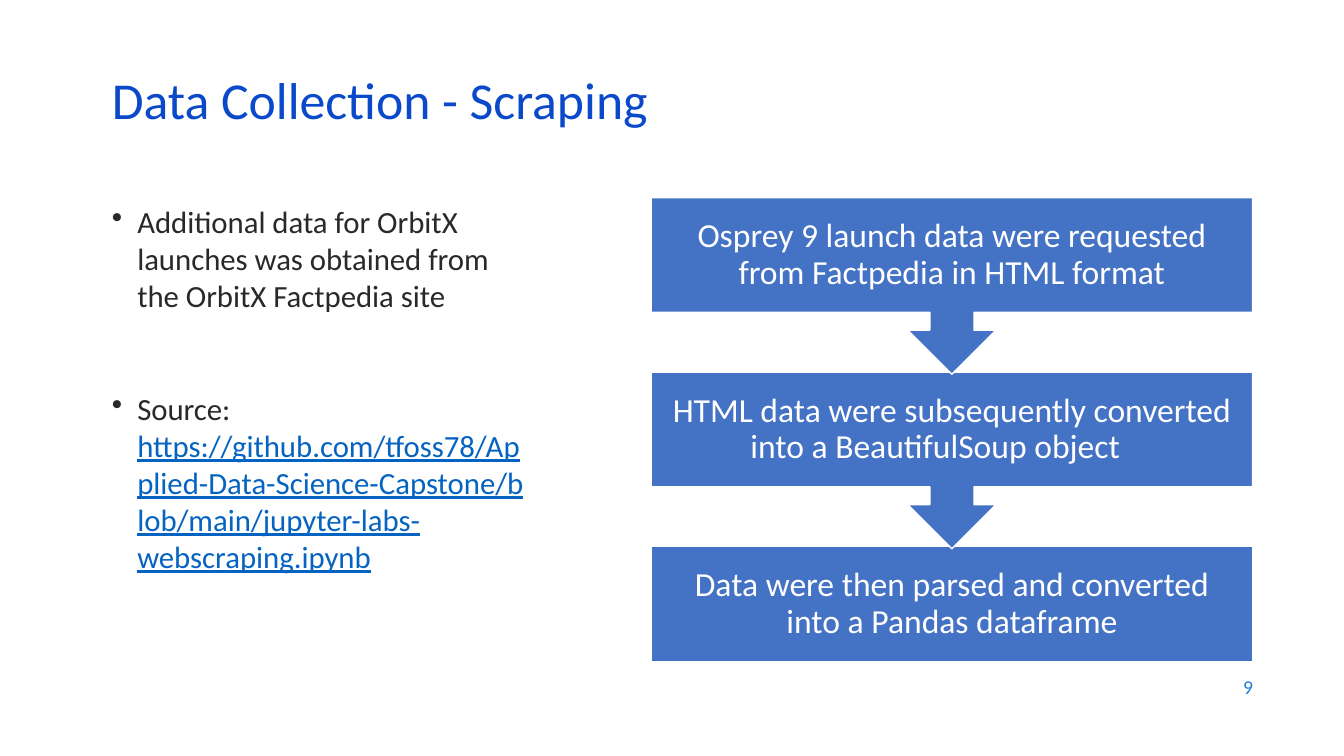
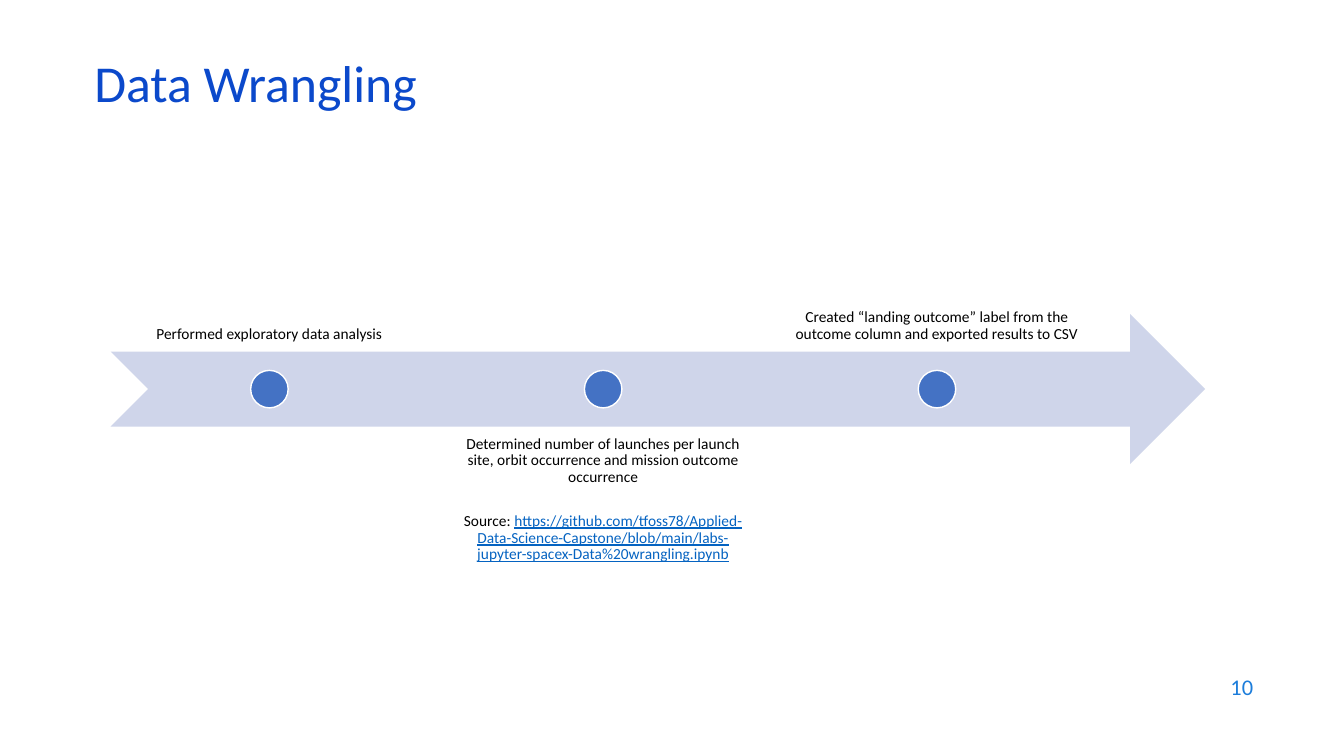
import pptx
import pptx.util
import pptx.dml.color
import pptx.enum.shapes
import pptx.enum.text
import lxml.etree

Cm, Pt = pptx.util.Cm, pptx.util.Pt
FORM = pptx.enum.shapes.MSO_SHAPE
ALIGN = pptx.enum.text.PP_ALIGN
ANCHOR = pptx.enum.text.MSO_ANCHOR

HUES = {
    "title": "0B49CB", "page": "1C7DDB", "body": "292929", "link": "0563C1",
    "fill": "4472C4", "band": "CFD5EA", "white": "FFFFFF", "black": "000000",
}
FONT = "Calibri"
BREAK = "\n"


def hue(name):
    return pptx.dml.color.RGBColor.from_string(HUES[name])


def apply(item, values):
    for key, value in values.items():
        setattr(item, key, value)


def fill_text(shape, paras, size, color, pad=None, anchor=ANCHOR.TOP, bullet=False, **form):
    """Each paragraph is a list of (text, color) runs, color None for the default."""
    frame = shape.text_frame
    apply(frame, {"word_wrap": True, "vertical_anchor": anchor})
    if pad is not None:
        sides = ("left", "top", "right", "bottom")
        apply(frame, {"margin_" + side: Cm(pad) for side in sides})
    for index, runs in enumerate(paras):
        para = frame.add_paragraph() if index else frame.paragraphs[0]
        if bullet:
            props = para._p.get_or_add_pPr()
            apply_bullet(props)
        apply(para, {key: value for key, value in form.items()
                     if index or key != "space_before"})
        for text, tint in runs:
            if text == BREAK:
                para.add_line_break()
                continue
            run = para.add_run()
            run.text = text
            apply(run.font, {"name": FONT, "size": Pt(size),
                             "underline": tint == "link"})
            run.font.color.rgb = hue(tint or color)


def apply_bullet(props):
    props.set("marL", str(Cm(0.64)))
    props.set("indent", str(-Cm(0.64)))
    mark = lxml.etree.SubElement(props, pptx.oxml.ns.qn("a:buChar"))
    mark.set("char", "•")


def add_text(slide, box, paras, size, color, **form):
    shape = slide.shapes.add_textbox(*map(Cm, box))
    fill_text(shape, paras, size, color, **form)


def add_form(slide, kind, box, color, line=None):
    shape = slide.shapes.add_shape(kind, *map(Cm, box))
    shape.shadow.inherit = False
    shape.fill.solid()
    shape.fill.fore_color.rgb = hue(color)
    if line:
        shape.line.color.rgb = hue(line)
        shape.line.width = Pt(1)
    else:
        shape.line.fill.background()
    return shape


def add_base(deck, title, left, top, page, size):
    """Blank slide with its title and page number."""
    slide = deck.slides.add_slide(deck.slide_layouts[6])
    add_text(slide, (left, top, 29.21, 1.52), [[(title, None)]], 37, "title",
             anchor=ANCHOR.MIDDLE, line_spacing=0.7)
    add_text(slide, (24.21, 16.74, 7.62, 1.12), [[(str(page), None)]], size, "page",
             anchor=ANCHOR.MIDDLE, alignment=ALIGN.RIGHT)
    return slide


def add_steps(slide, box, steps):
    """Stacked callouts, each pointing to the next; the last is a plain box."""
    left, top, width, height = box
    body = height / 4.04
    pitch = (height - body) / (len(steps) - 1)
    for index in reversed(range(len(steps))):
        last = index == len(steps) - 1
        kind = FORM.RECTANGLE if last else FORM.DOWN_ARROW_CALLOUT
        tall = body if last else body / 0.65
        shape = add_form(slide, kind, (left, top + index * pitch, width, tall),
                         "fill", "white")
        fill_text(shape, [[(steps[index], None)]], 24, "white", pad=0.48,
                  anchor=ANCHOR.MIDDLE, alignment=ALIGN.CENTER, line_spacing=0.9)


def add_time(slide, box, notes):
    """Notched arrow with dots; notes stand above and below it in turn."""
    left, top, width, height = box
    add_form(slide, FORM.NOTCHED_RIGHT_ARROW,
             (left, top + 0.3 * height, width, 0.4 * height), "band")
    wide, dot = 0.29 * width, 0.1 * height
    for index, paras in enumerate(notes):
        x = left + index * 0.305 * width
        below = index % 2
        add_text(slide, (x, top + 0.6 * height * below, wide, 0.4 * height),
                 paras, 11, "black", pad=0.23,
                 anchor=ANCHOR.TOP if below else ANCHOR.BOTTOM,
                 alignment=ALIGN.CENTER, line_spacing=0.9, space_before=Pt(19.8))
        add_form(slide, FORM.OVAL,
                 (x + (wide - dot) / 2, top + 0.45 * height, dot, dot),
                 "fill", "white")


def add_scrape(deck):
    slide = add_base(deck, "Data Collection - Scraping", 2.57, 1.93, 9, 14)
    source = [("Source: ", None)]
    for part in ("https://github.com/tfoss78/Ap", "plied-Data-Science-Capstone/b",
                 "lob/main/jupyter-labs-", "webscraping.ipynb"):
        source += [(BREAK, None), (part, "link")]
    intro = "Additional data for OrbitX launches was obtained from the OrbitX Factpedia site"
    add_text(slide, (2.57, 4.98, 10.92, 10.59), [[(intro, None)], source],
             22, "body", bullet=True, space_before=Pt(54.8))
    add_steps(slide, (16.41, 4.98, 15.16, 11.69), [
        "Osprey 9 launch data were requested from Factpedia in HTML format",
        "HTML data were subsequently converted into a BeautifulSoup object\t",
        "Data were then parsed and converted into a Pandas dataframe",
    ])


def add_wrangle(deck):
    slide = add_base(deck, "Data Wrangling", 2.13, 1.5, 10, 16)
    link = ("https://github.com/tfoss78/Applied-Data-Science-Capstone/blob/main/"
            "labs-jupyter-spacex-Data%20wrangling.ipynb")
    add_time(slide, (2.79, 5.08, 27.58, 9.45), [
        [[("Performed exploratory data analysis", None)]],
        [[("Determined number of launches per launch site, orbit occurrence "
           "and mission outcome occurrence", None)],
         [("Source: ", None), (link, "link")]],
        [[("Created “landing outcome” label from the outcome column "
           "and exported results to CSV", None)]],
    ])


def main():
    deck = pptx.Presentation()
    apply(deck, {"slide_width": Cm(33.87), "slide_height": Cm(19.05)})
    add_scrape(deck)
    add_wrangle(deck)
    deck.save("out.pptx")


if __name__ == "__main__":
    main()
